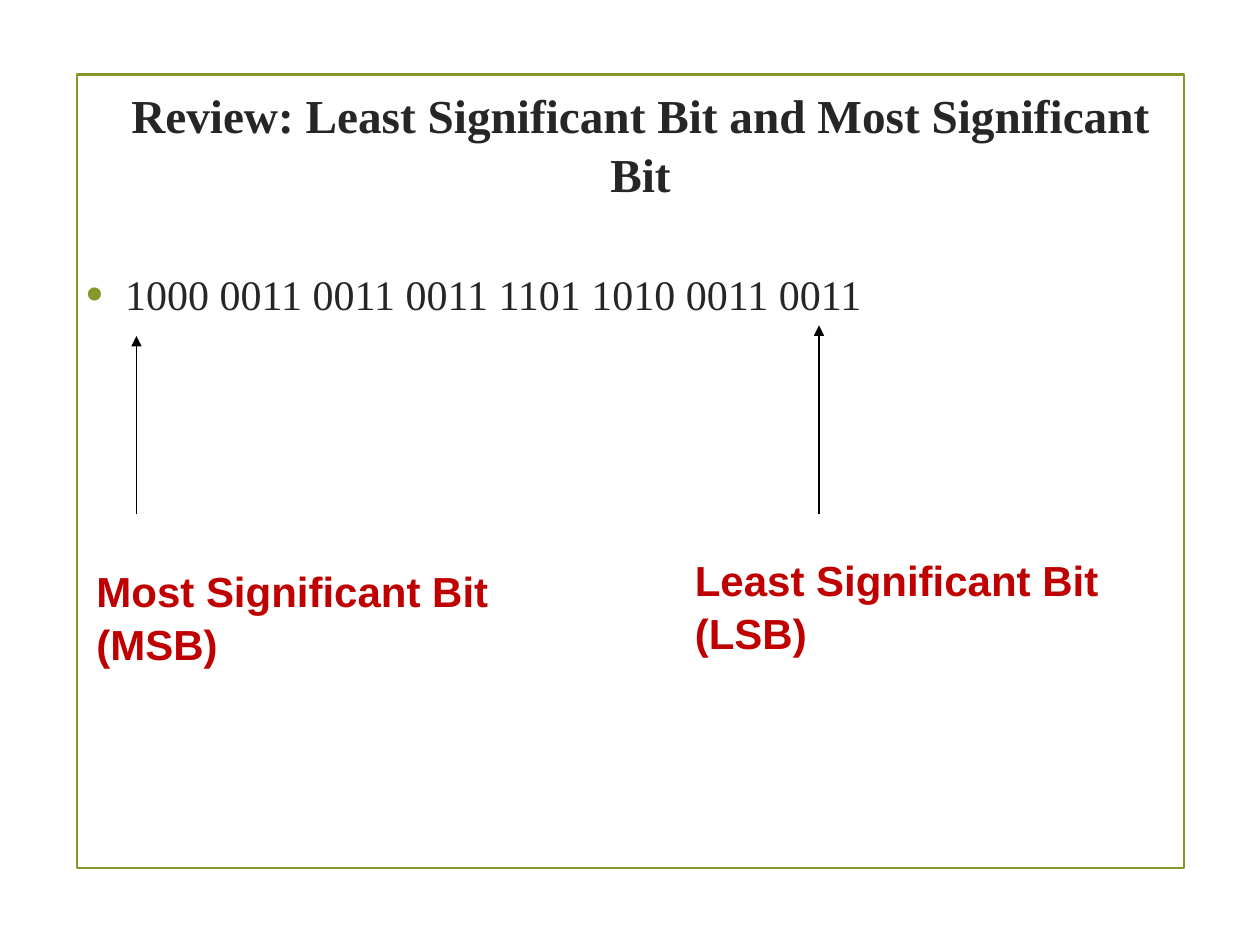
"""Build the slide on least and most significant bits."""
from dataclasses import dataclass

import lxml.etree
import pptx
import pptx.dml.color
import pptx.enum.shapes
import pptx.enum.text
import pptx.oxml.ns
import pptx.util


@dataclass(frozen=True)
class Theme:
    ink: str = "262626"
    accent: str = "83992A"
    label: str = "C00000"
    arrow: str = "000000"
    serif: str = "Times New Roman"
    sans: str = "Arial"
    title_size: int = 27
    text_size: int = 24
    line_spacing: float = 1.05


@dataclass(frozen=True)
class Area:
    column: float
    row: float
    columns: float
    rows: float


@dataclass(frozen=True)
class BitMark:
    lines: tuple[str, str]
    area: Area
    arrow_column: float
    arrow_tip: float


THEME = Theme()
CELL = pptx.util.Inches(1) / 12
ARROW_START = 49
FRAME = Area(7.3, 7.1, 105.5, 75.6)
TITLE = Area(8, 5, 106, 17.2)
BODY = Area(7, 18, 110, 14)
MARKS = (
    BitMark(("Most Significant Bit", "(MSB)"), Area(8, 53, 40, 10.9), 13, 32),
    BitMark(("Least Significant Bit", "(LSB)"), Area(65, 52, 41, 10.9), 78, 31),
)


def cells(count: float) -> int:
    return round(count * CELL)


def bounds(area: Area) -> tuple[int, ...]:
    return tuple(map(cells, (area.column, area.row, area.columns, area.rows)))


def color(value: str) -> pptx.dml.color.RGBColor:
    return pptx.dml.color.RGBColor.from_string(value)


def add_run(paragraph, text: str, font: str, size: int, ink: str, bold: bool) -> None:
    paragraph.line_spacing = THEME.line_spacing
    run = paragraph.add_run()
    run.text = text
    run.font.name = font
    run.font.size = pptx.util.Pt(size)
    run.font.color.rgb = color(ink)
    run.font.bold = bold


def place(holder, area: Area):
    holder.left, holder.top, holder.width, holder.height = bounds(area)
    holder.text_frame.word_wrap = True
    holder.text_frame.auto_size = pptx.enum.text.MSO_AUTO_SIZE.NONE
    return holder.text_frame


def add_frame(slide) -> None:
    frame = slide.shapes.add_shape(
        pptx.enum.shapes.MSO_SHAPE.RECTANGLE, *bounds(FRAME))
    frame.shadow.inherit = False
    frame.fill.background()
    frame.line.color.rgb = color(THEME.accent)
    frame.line.width = pptx.util.Pt(1.25)


def fill_title(slide) -> None:
    heading = place(slide.shapes.title, TITLE)
    heading.vertical_anchor = pptx.enum.text.MSO_ANCHOR.MIDDLE
    paragraph = heading.paragraphs[0]
    paragraph.alignment = pptx.enum.text.PP_ALIGN.CENTER
    add_run(paragraph, "Review: Least Significant Bit and Most Significant Bit",
            THEME.serif, THEME.title_size, THEME.ink, True)


def add_bullet(paragraph) -> None:
    indent = pptx.util.Inches(0.31)
    properties = paragraph._p.get_or_add_pPr()
    properties.set("marL", str(indent))
    properties.set("indent", str(-indent))
    qn = pptx.oxml.ns.qn
    tint = lxml.etree.SubElement(properties, qn("a:buClr"))
    lxml.etree.SubElement(tint, qn("a:srgbClr"), val=THEME.accent)
    lxml.etree.SubElement(properties, qn("a:buSzPct"), val="115000")
    lxml.etree.SubElement(properties, qn("a:buFont"), typeface=THEME.sans)
    lxml.etree.SubElement(properties, qn("a:buChar"), char="•")


def fill_body(slide) -> None:
    bits = place(slide.placeholders[1], BODY)
    bits.margin_top = pptx.util.Inches(0.61)
    paragraph = bits.paragraphs[0]
    paragraph.space_before = pptx.util.Pt(0)
    paragraph.space_after = pptx.util.Pt(6)
    add_run(paragraph, "1000 0011 0011 0011 1101 1010 0011 0011",
            THEME.serif, THEME.text_size, THEME.ink, False)
    add_bullet(paragraph)


def add_mark(slide, mark: BitMark) -> None:
    label = slide.shapes.add_textbox(*bounds(mark.area)).text_frame
    label.word_wrap = False
    for index, line in enumerate(mark.lines):
        paragraph = label.add_paragraph() if index else label.paragraphs[0]
        add_run(paragraph, line, THEME.sans, THEME.text_size, THEME.label, True)
    column = cells(mark.arrow_column)
    arrow = slide.shapes.add_connector(
        pptx.enum.shapes.MSO_CONNECTOR.STRAIGHT,
        column, cells(ARROW_START), column, cells(mark.arrow_tip))
    arrow.line.color.rgb = color(THEME.arrow)
    arrow.line.width = pptx.util.Pt(1)
    qn = pptx.oxml.ns.qn
    lxml.etree.SubElement(arrow.line._get_or_add_ln(), qn("a:tailEnd"), type="triangle")
    lxml.etree.SubElement(arrow._element.spPr, qn("a:effectLst"))


def main() -> None:
    deck = pptx.Presentation()
    deck.slide_width, deck.slide_height = cells(120), cells(90)
    slide = deck.slides.add_slide(deck.slide_layouts[1])
    add_frame(slide)
    fill_title(slide)
    fill_body(slide)
    for mark in MARKS:
        add_mark(slide, mark)
    deck.save("out.pptx")


if __name__ == "__main__":
    main()
